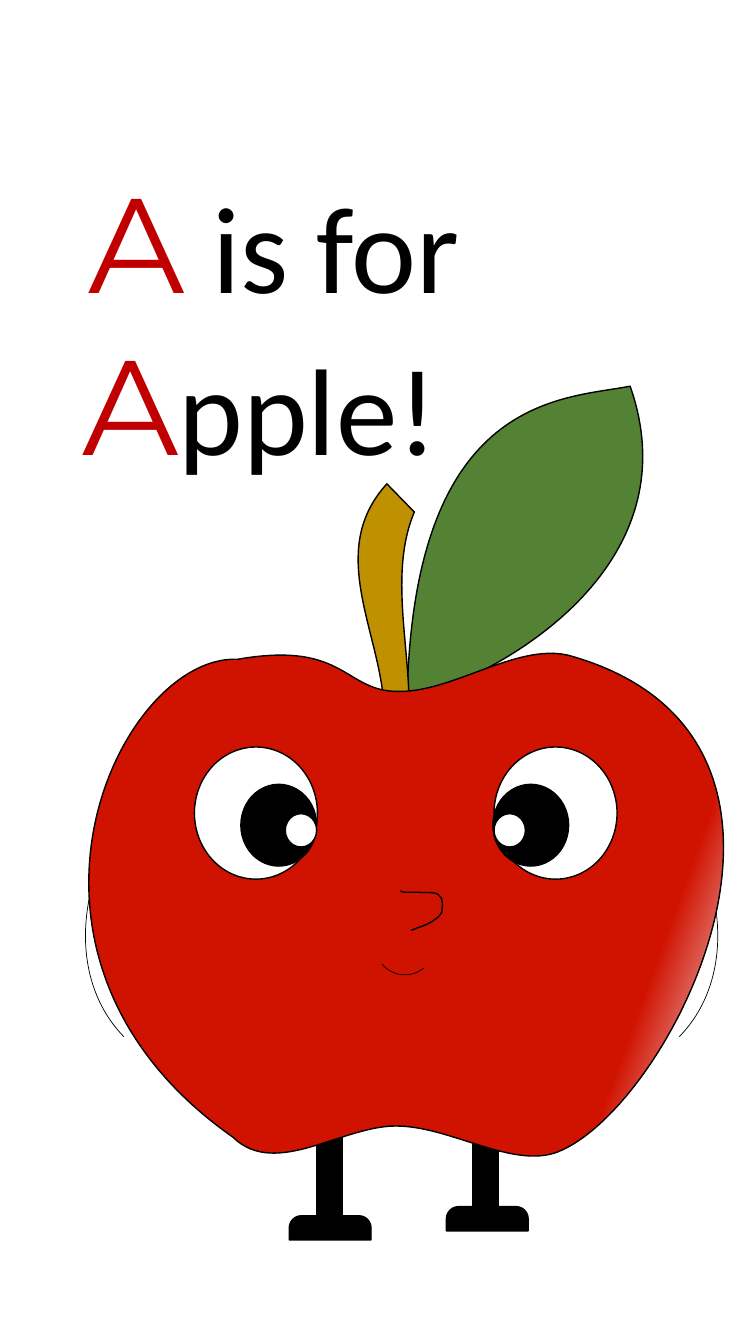
from dataclasses import dataclass

from lxml import etree
from pptx import Presentation
from pptx.dml.color import RGBColor
from pptx.enum.shapes import MSO_SHAPE
from pptx.enum.text import MSO_AUTO_SIZE, PP_ALIGN
from pptx.oxml.ns import qn
from pptx.util import Cm, Pt

OVAL, ARC, BAR = MSO_SHAPE.OVAL, MSO_SHAPE.ARC, MSO_SHAPE.RECTANGLE
SHOE = MSO_SHAPE.ROUND_2_SAME_RECTANGLE
CENTER = PP_ALIGN.CENTER
GROW = MSO_AUTO_SIZE.SHAPE_TO_FIT_TEXT


@dataclass(frozen=True)
class Theme:
    black: str = "000000"
    white: str = "FFFFFF"
    letter: str = "C00000"
    leaf: str = "548235"
    stem: str = "BF9000"
    skin: tuple = ((0.83, "D01200"), (1, "F6F8FC"))
    skin_angle: int = 20
    letter_font: str = "Montserrat"
    word_font: str = "Calibri"
    letter_size: int = 96
    word_size: int = 88
    outline: float = 1
    thin: float = 0.5


THEME = Theme()
CURVE_STEPS = 20

# Outlines in cm: a start point, then lines (x, y) or
# curves (control 1, control 2, end)
LEAF = [
    (10.26, 17.6),
    (10.41, 9.91, 14.22, 10.06, 15.88, 9.73),
    (17.6, 14.63, 11.84, 17.35, 10.26, 17.6),
]
STEM = [
    (9.75, 12.19),
    (10.44, 12.9),
    (9.8, 14.43, 10.34, 16.28, 10.31, 17.98),
    (9.68, 18.03),
    (9.7, 16.08, 8.15, 13.94, 9.75, 12.19),
]
APPLE = [
    (5.99, 16.61),
    (8.74, 16.13, 8.66, 17.45, 10.08, 17.42),
    (11.48, 17.42, 13.13, 16.13, 14.43, 16.54),
    (21.56, 18.62, 16.99, 27.71, 14.15, 28.98),
    (13.03, 29.51, 11.46, 28.42, 10.08, 28.37),
    (8.69, 28.3, 6.96, 29.72, 5.87, 28.65),
    (-0.64, 24.08, 3, 16.48, 5.99, 16.61),
]
NOSE = [
    (10.08, 22.45),
    (10.11, 22.45, 10.13, 22.48, 10.21, 22.48),
    (10.29, 22.48, 10.39, 22.48, 10.54, 22.48),
    (10.69, 22.5, 10.97, 22.45, 11.07, 22.56),
    (11.18, 22.63, 11.15, 22.89, 11.13, 22.99),
    (11.07, 23.11, 10.97, 23.16, 10.85, 23.24),
    (10.72, 23.32, 10.52, 23.37, 10.36, 23.44),
]


def paint(shape, fill, weight=THEME.outline):
    """Fill with one colour, a tuple of gradient stops, or nothing."""
    shape.shadow.inherit = False
    if fill is None:
        shape.fill.background()
    elif isinstance(fill, tuple):
        shape.fill.gradient()
        shape.fill.gradient_angle = 360 - THEME.skin_angle
        for stop, (position, colour) in zip(shape.fill.gradient_stops, fill):
            stop.position = position
            stop.color.rgb = RGBColor.from_string(colour)
    else:
        shape.fill.solid()
        shape.fill.fore_color.rgb = RGBColor.from_string(fill)
    shape.line.color.rgb = RGBColor.from_string(THEME.black)
    shape.line.width = Pt(weight)


def add_part(shapes, kind, box, fill, adjustments=()):
    part = shapes.add_shape(kind, *map(Cm, box))
    for index, value in enumerate(adjustments):
        part.adjustments[index] = value
    paint(part, fill)


def add_arc(shapes, box, rotation, start, end):
    arc = shapes.add_shape(ARC, *map(Cm, box))
    # An angle is stored in 60000ths of a degree, an adjustment in 100000ths
    arc.adjustments[0], arc.adjustments[1] = start * 0.6, end * 0.6
    arc.rotation = rotation
    paint(arc, None, THEME.thin)


def pairs(segment):
    return list(zip(segment[::2], segment[1::2]))


def curve_points(start, curve):
    nodes = [start, *pairs(curve)]
    for step in range(1, CURVE_STEPS + 1):
        t = step / CURVE_STEPS
        weights = ((1 - t) ** 3, 3 * t * (1 - t) ** 2, 3 * t * t * (1 - t), t ** 3)
        yield tuple(sum(w * node[axis] for w, node in zip(weights, nodes))
                    for axis in (0, 1))


def bend(shape, outline, close):
    """Write the outline as true curves inside the frame of the shape."""
    track = next(shape._element.iter(qn("a:path")))
    for child in list(track):
        track.remove(child)
    for index, segment in enumerate(outline):
        tag = "cubicBezTo" if len(segment) == 6 else "lnTo" if index else "moveTo"
        command = etree.SubElement(track, qn(f"a:{tag}"))
        for x, y in pairs(segment):
            etree.SubElement(command, qn("a:pt"), x=str(Cm(x) - shape.left),
                             y=str(Cm(y) - shape.top))
    if close:
        etree.SubElement(track, qn("a:close"))


def add_outline(shapes, outline, fill, close=True):
    # Points along the curves give the frame its exact extent
    points = [outline[0]]
    for segment in outline[1:]:
        points.extend([segment] if len(segment) == 2
                      else curve_points(points[-1], segment))
    corners = [(Cm(x), Cm(y)) for x, y in points]
    builder = shapes.build_freeform(*corners[0])
    builder.add_line_segments(corners[1:], close=close)
    shape = builder.convert_to_shape()
    bend(shape, outline, close)
    paint(shape, fill)


def add_title(shapes):
    letter = {"name": THEME.letter_font, "size": Pt(THEME.letter_size)}
    word = {"name": THEME.word_font, "size": Pt(THEME.word_size)}
    frame = shapes.add_textbox(Cm(-2.36), Cm(3.89), Cm(18.52), Cm(8.46)).text_frame
    frame.word_wrap = True
    frame.auto_size = GROW
    sentence = frame.paragraphs[0]
    sentence.alignment = CENTER
    for text, style, colour in (
        ("A", letter, THEME.letter),
        (" is for ", word, THEME.black),
        ("A", letter, THEME.letter),
        ("pple! ", word, THEME.black),
    ):
        run = sentence.add_run()
        run.text = text
        for attribute, value in style.items():
            setattr(run.font, attribute, value)
        run.font.color.rgb = RGBColor.from_string(colour)


def add_limbs(shapes):
    for left, top in ((11.91, 27.13), (7.98, 27.41)):
        add_part(shapes, BAR, (left, top, 0.66, 3.43), THEME.black)
    for left, top in ((7.29, 30.63), (11.25, 30.4)):
        add_part(shapes, SHOE, (left, top, 2.06, 0.61), THEME.black, (0.5, 0))
    # Arms mirror each other
    for left, rotation, start, end in ((1.57, 315.6, 180, 14.98),
                                       (7.8, 44.4, 165.02, 0)):
        add_arc(shapes, (left, 18.16, 10.87, 8.31), rotation, start, end)


def add_face(shapes):
    for eye, pupil in ((4.9, 6.07), (12.45, 12.42)):
        add_part(shapes, OVAL, (eye, 18.82, 3.1, 3.33), THEME.white)
        add_part(shapes, OVAL, (pupil, 19.76, 1.91, 2.06), THEME.black)
    add_outline(shapes, NOSE, None, close=False)
    for glint in (7.19, 12.45):
        add_part(shapes, OVAL, (glint, 20.5, 0.79, 0.84), THEME.white)
    add_arc(shapes, (9.45, 23.06, 1.5, 1.5), 140.6, 270, 0)


def main():
    deck = Presentation()
    deck.slide_width, deck.slide_height = Cm(19.05), Cm(33.86)
    slide = deck.slides.add_slide(deck.slide_layouts[6])
    add_title(slide.shapes)

    # Apple character, from back to front
    character = slide.shapes.add_group_shape().shapes
    add_limbs(character)
    for outline, fill in ((LEAF, THEME.leaf), (STEM, THEME.stem), (APPLE, THEME.skin)):
        add_outline(character, outline, fill)
    add_face(character)
    deck.save("out.pptx")


if __name__ == "__main__":
    main()
